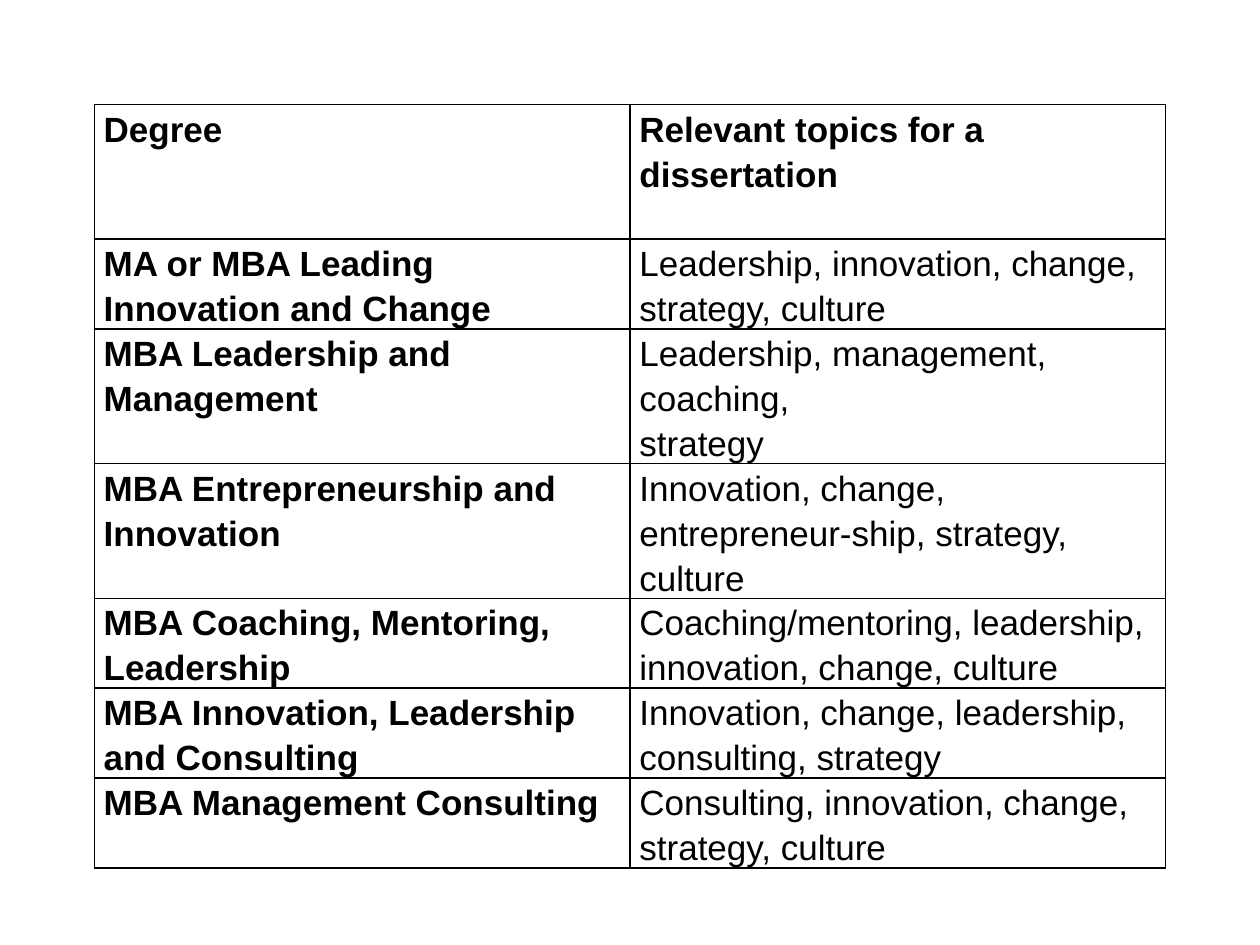
from lxml.etree import SubElement
from pptx import Presentation
from pptx.dml.color import RGBColor
from pptx.oxml.ns import qn
from pptx.util import Cm, Pt

# Content: header first, then one degree per row
ROWS = [
    ("Degree", "Relevant topics for a dissertation"),
    ("MA or MBA Leading Innovation and Change",
     "Leadership, innovation, change, strategy, culture"),
    ("MBA Leadership and Management",
     "Leadership, management, coaching,\nstrategy"),
    ("MBA Entrepreneurship and Innovation",
     "Innovation, change, entrepreneur-ship, strategy, culture"),
    ("MBA Coaching, Mentoring, Leadership",
     "Coaching/mentoring, leadership, innovation, change, culture"),
    ("MBA Innovation, Leadership and Consulting",
     "Innovation, change, leadership, consulting, strategy"),
    ("MBA Management Consulting",
     "Consulting, innovation, change, strategy, culture"),
]

THEME = {
    "font": "Arial",
    "size": Pt(20),
    "line_spacing": 1.15,
    "ink": "000000",
    "border": Pt(1),
}

# Geometry
LEFT, TOP = Cm(1.9), Cm(2.11)
COLUMN_WIDTH = Cm(10.8)
HEADER_HEIGHT, ROW_HEIGHT = Cm(2.71), Cm(1.8)
SIDE_MARGIN = Cm(0.19)


def add_borders(cell):
    properties = cell._tc.get_or_add_tcPr()
    for side in ("a:lnL", "a:lnR", "a:lnT", "a:lnB"):
        line = SubElement(properties, qn(side), w=str(THEME["border"]))
        fill = SubElement(line, qn("a:solidFill"))
        SubElement(fill, qn("a:srgbClr"), val=THEME["ink"])


def format_cell(cell, text, bold):
    cell.margin_left = cell.margin_right = SIDE_MARGIN
    cell.margin_top = cell.margin_bottom = 0
    add_borders(cell)
    cell.fill.background()
    cell.text_frame.text = text
    for paragraph in cell.text_frame.paragraphs:
        paragraph.line_spacing = THEME["line_spacing"]
        for run in paragraph.runs:
            run.font.name = THEME["font"]
            run.font.size = THEME["size"]
            run.font.bold = bold
            run.font.color.rgb = RGBColor.from_string(THEME["ink"])


def main():
    presentation = Presentation()
    presentation.slide_width, presentation.slide_height = Cm(25.4), Cm(19.05)
    slide = presentation.slides.add_slide(presentation.slide_layouts[6])

    # Table of degrees and topics
    heights = [HEADER_HEIGHT] + [ROW_HEIGHT] * (len(ROWS) - 1)
    columns = len(ROWS[0])
    table = slide.shapes.add_table(
        len(ROWS), columns, LEFT, TOP, COLUMN_WIDTH * columns, sum(heights)
    ).table
    table.horz_banding = False
    for column in table.columns:
        column.width = COLUMN_WIDTH
    for row_index, (texts, height) in enumerate(zip(ROWS, heights)):
        table.rows[row_index].height = height
        for column_index, text in enumerate(texts):
            bold = row_index == 0 or column_index == 0
            format_cell(table.cell(row_index, column_index), text, bold)

    presentation.save("out.pptx")


if __name__ == "__main__":
    main()
